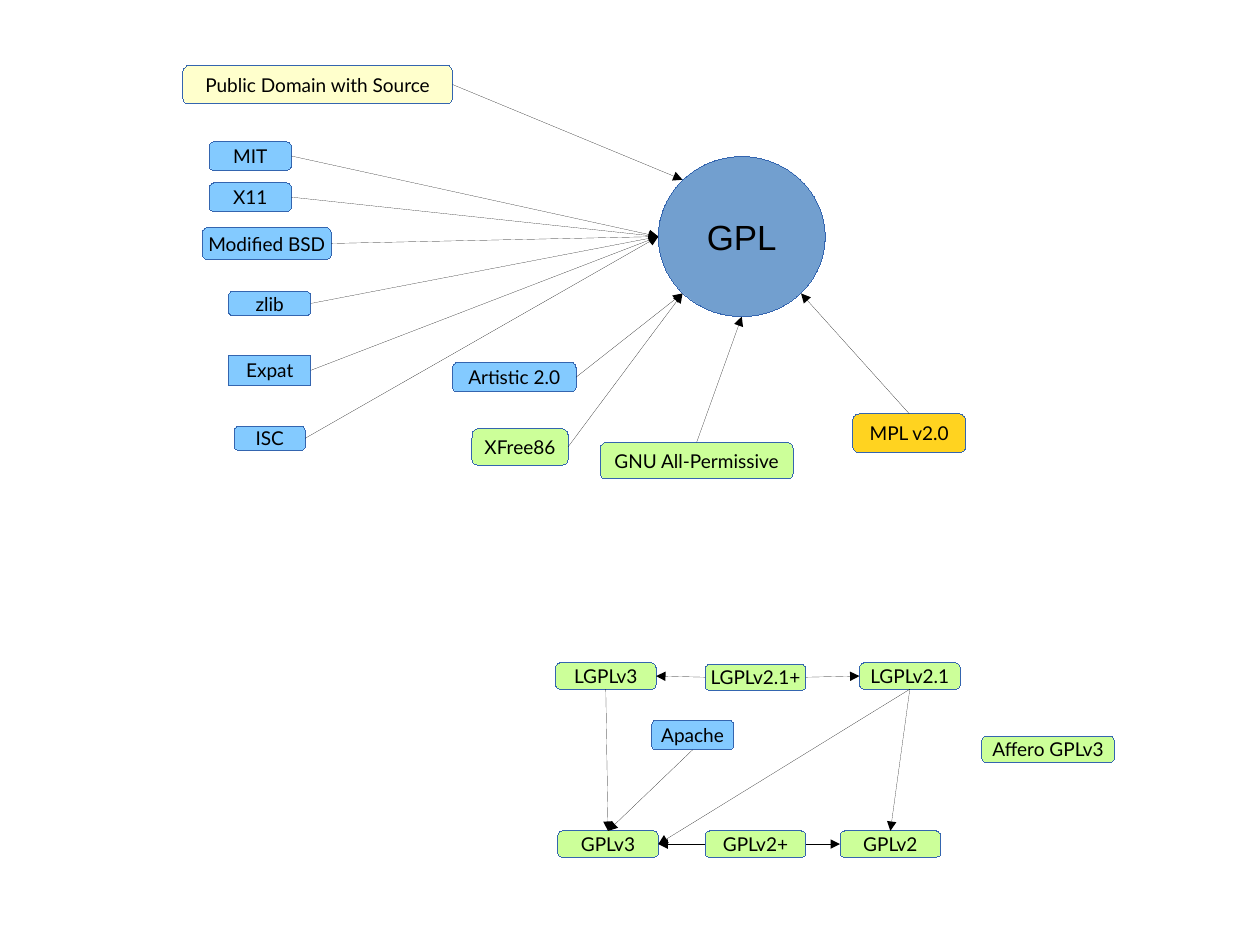
from lxml import etree
from pptx import Presentation, util as u
from pptx.dml.color import RGBColor
from pptx.enum import shapes, text
from pptx.oxml.ns import qn

YELLOW, BLUE, GREEN, ORANGE = "FFFFCC", "83CAFF", "CCFF99", "FFD320"
TOP, LEFT, BOTTOM, RIGHT = range(4)
HAIRLINE = u.Emu(1)
CM_PER_INCH = 2.54


def color(value):
    """Turn a hex string into a colour."""
    return RGBColor.from_string(value)


def node(s, label, fill, box, kind=shapes.MSO_SHAPE.ROUNDED_RECTANGLE, size=12, font="Lato"):
    """Add one labelled licence shape in the given box."""
    sp = s.shapes.add_shape(kind, *map(u.Inches, box))
    sp.shadow.inherit = False
    sp.fill.solid()
    sp.fill.fore_color.rgb = color(fill)
    sp.line.color.rgb = color("3465AF")
    sp.line.width = HAIRLINE
    tf = sp.text_frame
    tf.word_wrap = False
    tf.vertical_anchor = text.MSO_ANCHOR.MIDDLE
    p = tf.paragraphs[0]
    p.text = label
    p.alignment = text.PP_ALIGN.CENTER
    p.font.size, p.font.name = u.Pt(size), font
    p.font.color.rgb = color("000000")
    return sp


def arrow(s, source, side, target=None, target_side=None, point=(0, 0)):
    """Add an arrow from a side of a shape to another shape's side or a point."""
    cx = s.shapes.add_connector(shapes.MSO_CONNECTOR.STRAIGHT, 0, 0, *map(u.Inches, point))
    cx.begin_connect(source, side)
    if target is not None:
        cx.end_connect(target, target_side)
    cx.line.color.rgb = color("000000")
    cx.line.width = HAIRLINE
    ln = cx.line._get_or_add_ln()
    etree.SubElement(ln, qn("a:tailEnd"), type="triangle")
    etree.SubElement(cx._element.spPr, qn("a:effectLst"))


def compatible_licences(s, x, y):
    """Draw the licences that lead into the GPL circle."""
    cx, cy, rx, ry = x + 4.89, y + 1.5, 0.73, 0.7
    dx, dy = rx * 0.71, ry * 0.71
    left, bottom = (cx - rx, cy), (cx, cy + ry)
    upper_left, lower_left = (cx - dx, cy - dy), (cx - dx, cy + dy)
    lower_right = (cx + dx, cy + dy)
    for label, fill, left_in, top_in, w, h, side, point in [
        ("Public Domain with Source", YELLOW, 0, 0, 2.36, 0.34, RIGHT, upper_left),
        ("MIT", BLUE, 0.23, 0.67, 0.72, 0.25, RIGHT, left),
        ("X11", BLUE, 0.23, 1.03, 0.72, 0.25, RIGHT, left),
        ("Modified BSD", BLUE, 0.17, 1.42, 1.13, 0.28, RIGHT, left),
        ("zlib", BLUE, 0.4, 1.98, 0.72, 0.21, RIGHT, left),
        ("Expat", BLUE, 0.4, 2.54, 0.72, 0.26, RIGHT, left),
        ("ISC", BLUE, 0.45, 3.16, 0.62, 0.21, RIGHT, left),
        ("Artistic 2.0", BLUE, 2.36, 2.6, 1.08, 0.26, RIGHT, lower_left),
        ("XFree86", GREEN, 2.53, 3.18, 0.84, 0.32, RIGHT, lower_left),
        ("GNU All-Permissive", GREEN, 3.65, 3.3, 1.69, 0.32, TOP, bottom),
        ("MPL v2.0", ORANGE, 5.86, 3.05, 0.99, 0.34, TOP, lower_right),
    ]:
        sp = node(s, label, fill, (x + left_in, y + top_in, w, h))
        if label == "Expat":
            sp.adjustments[0] = 0
        arrow(s, sp, side, point=point)
    node(s, "GPL", "729FCF", (cx - rx, cy - ry, 2 * rx, 2 * ry),
         shapes.MSO_SHAPE.OVAL, 22, "Arial")


def gnu_versions(s, x, y):
    """Draw the GNU licence versions and the arrows between them."""
    nodes = {
        label: node(s, label, fill, (x + left_in, y + top_in, w, h))
        for label, fill, left_in, top_in, w, h in [
            ("LGPLv3", GREEN, 0, 0, 0.88, 0.23),
            ("LGPLv2.1+", GREEN, 1.31, 0.01, 0.88, 0.23),
            ("LGPLv2.1", GREEN, 2.66, 0, 0.88, 0.23),
            ("Apache", BLUE, 0.84, 0.5, 0.72, 0.26),
            ("Affero GPLv3", GREEN, 3.73, 0.64, 1.16, 0.23),
            ("GPLv3", GREEN, 0.02, 1.47, 0.88, 0.23),
            ("GPLv2+", GREEN, 1.31, 1.47, 0.88, 0.23),
            ("GPLv2", GREEN, 2.49, 1.47, 0.88, 0.23),
        ]
    }
    for source, side, target, target_side in [
        ("LGPLv2.1+", LEFT, "LGPLv3", RIGHT),
        ("LGPLv2.1+", RIGHT, "LGPLv2.1", LEFT),
        ("GPLv2+", LEFT, "GPLv3", RIGHT),
        ("GPLv2+", RIGHT, "GPLv2", LEFT),
        ("LGPLv3", BOTTOM, "GPLv3", TOP),
        ("Apache", BOTTOM, "GPLv3", TOP),
        ("LGPLv2.1", BOTTOM, "GPLv3", RIGHT),
        ("LGPLv2.1", BOTTOM, "GPLv2", TOP),
    ]:
        arrow(s, nodes[source], side, nodes[target], target_side)


def main():
    """Build the licence compatibility slide."""
    prs = Presentation()
    prs.slide_width = u.Inches(28 / CM_PER_INCH)
    prs.slide_height = u.Inches(21 / CM_PER_INCH)
    s = prs.slides.add_slide(prs.slide_layouts[6])
    compatible_licences(s, 1.6, 0.57)
    gnu_versions(s, 4.86, 5.8)
    prs.save("out.pptx")


if __name__ == "__main__":
    main()
